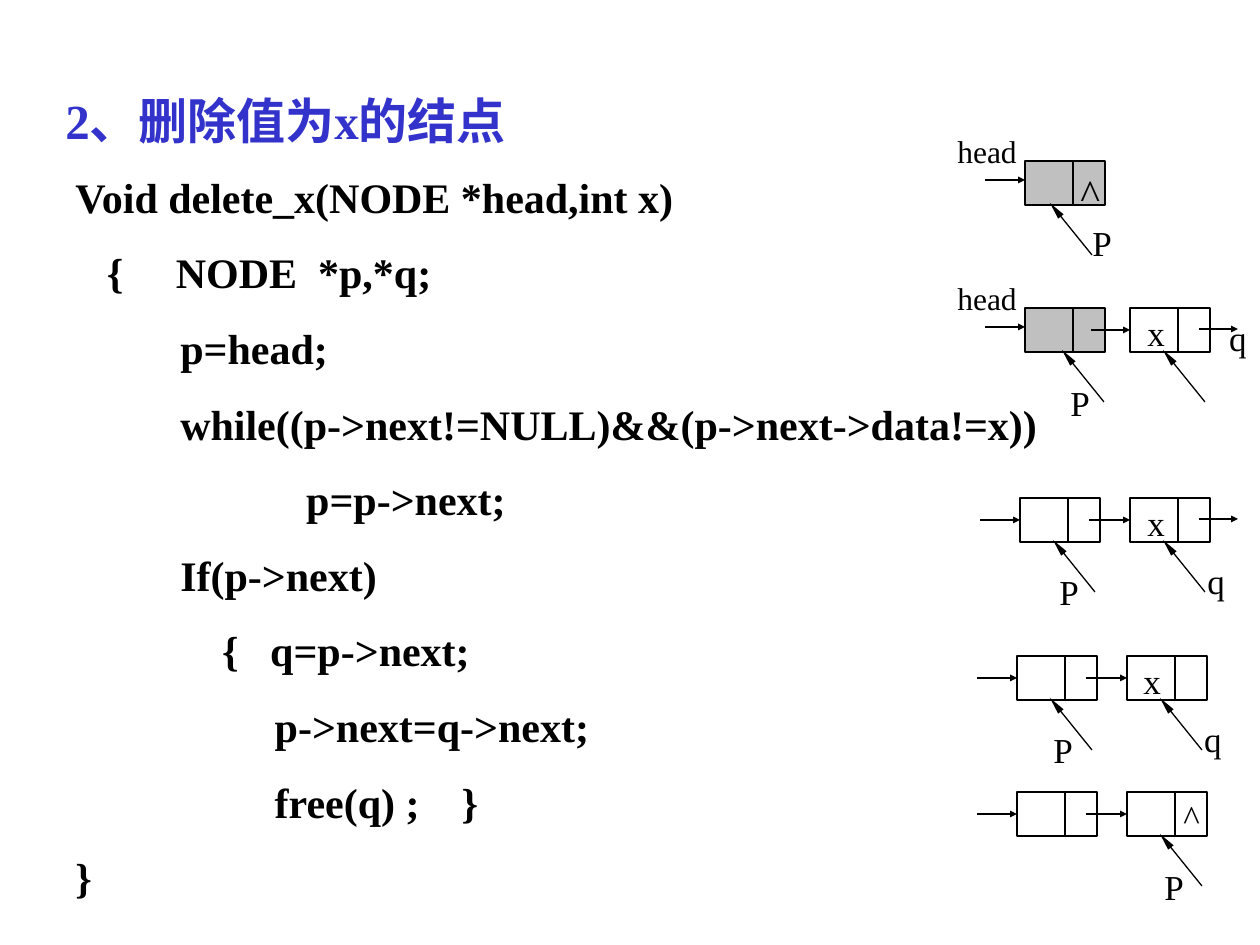
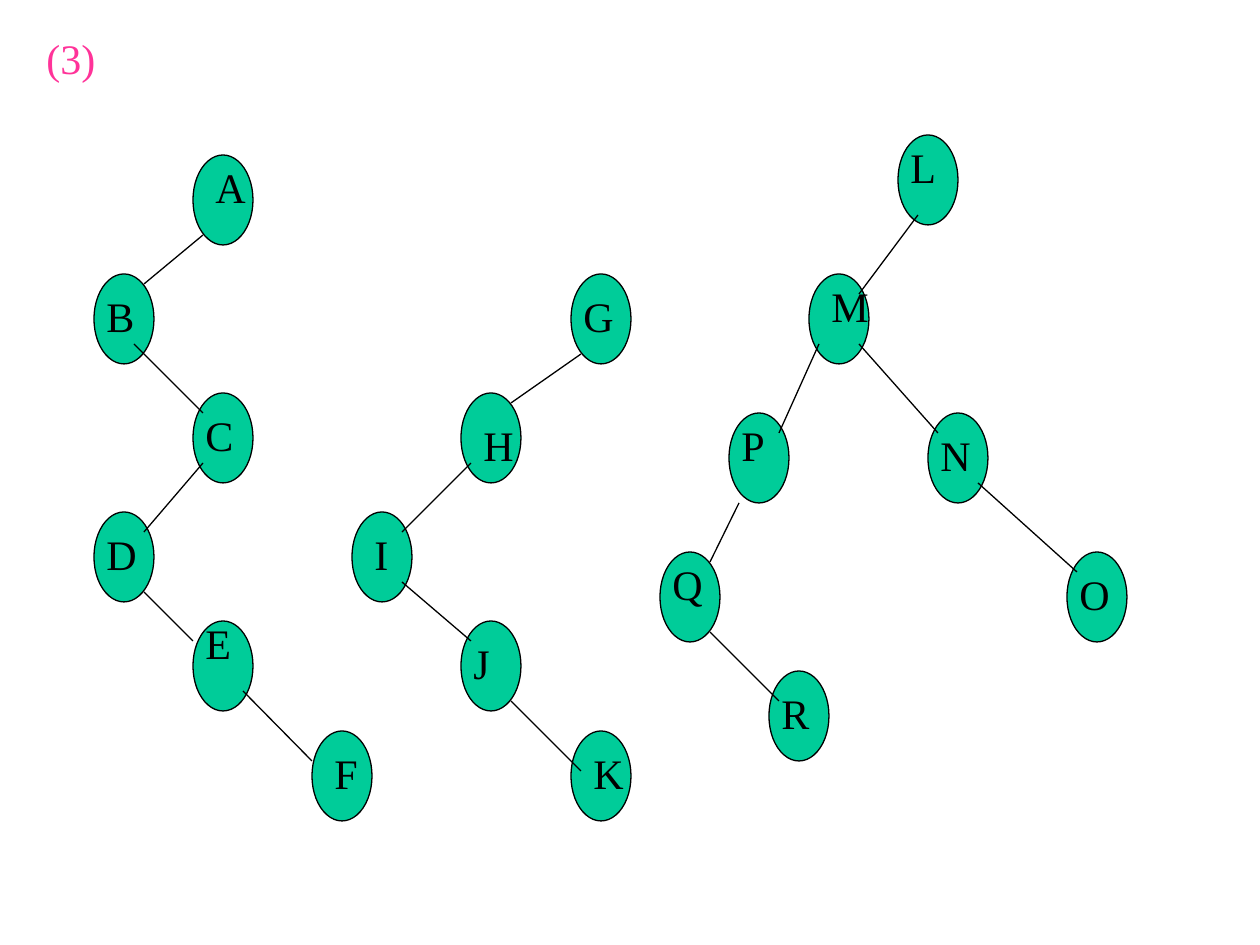
from dataclasses import dataclass

from lxml import etree
from pptx import Presentation
from pptx.dml.color import RGBColor
from pptx.enum.shapes import MSO_CONNECTOR, MSO_SHAPE
from pptx.enum.text import MSO_ANCHOR, PP_ALIGN
from pptx.oxml.ns import qn
from pptx.util import Pt

STRAIGHT = MSO_CONNECTOR.STRAIGHT
RECTANGLE, OVAL = MSO_SHAPE.RECTANGLE, MSO_SHAPE.OVAL
LEFT, CENTER = PP_ALIGN.LEFT, PP_ALIGN.CENTER
TOP = MSO_ANCHOR.TOP
LEFT_SIDE = 1
EMU_PER_PX = 914400 / 126


@dataclass(frozen=True)
class Theme:
    font: str = "Times New Roman"
    ink: str = "000000"
    title: str = "3333CC"
    number: str = "FF3399"
    head_node: str = "C0C0C0"
    tree_node: str = "00CC99"
    title_size: int = 28
    body_size: int = 24
    label_size: int = 20
    head_size: int = 18
    line: float = 0.75


THEME = Theme()

# Linked-list cells and tree nodes, in px
CELL_W, CELL_H, DIVIDER = 80, 44, 48
NODE_W, NODE_H = 60, 90

CODE = """Void delete_x(NODE *head,int x)
   {     NODE  *p,*q;
          p=head;
          while((p->next!=NULL)&&(p->next->data!=x))
                      p=p->next;
          If(p->next)
              {   q=p->next;
                   p->next=q->next;
                   free(q) ;    }
}"""


@dataclass(frozen=True)
class ListState:
    """One step of the deletion; all places are relative to the first cell."""
    origin: tuple
    labels: tuple            # (text, x, y)
    pointers: tuple          # x of each pointer's tip
    second: int = 0          # x of the second cell, 0 for none
    has_head: bool = False
    has_next: bool = False
    link_start: int = 69
    mark_size: int = THEME.label_size


LIST_STATES = (
    ListState((1025, 161), (("^", 43, 0), ("P", 55, 54)), (25,),
              has_head=True, mark_size=THEME.body_size),
    ListState((1025, 308), (("q", 191, 2), ("x", 110, -3), ("P", 33, 67)),
              (37, 138), 105, has_head=True, has_next=True, link_start=66),
    ListState((1020, 498), (("P", 27, 66), ("x", 115, -3), ("q", 174, 55)),
              (33, 143), 110, has_next=True),
    ListState((1017, 656), (("P", 24, 66), ("x", 114, -3), ("q", 174, 55)),
              (33, 143), 110),
    ListState((1017, 792), (("P", 135, 67), ("^", 154, -3)), (143,), 110),
)

# Each tree: origin, nodes {name: (place, label offset)},
# edges (parent and child, offset in parent, offset in child)
TREES = (
    ((94, 155),
     {"A": ((99, 0), (10, 0)), "B": ((0, 119), (0, 10)),
      "C": ((99, 238), (0, 10)), "D": ((0, 357), (0, 10)),
      "E": ((99, 466), (0, -10)), "F": ((218, 576), (10, 10))},
     (("AB", (10, 80), (50, 10)), ("BC", (40, 70), (10, 20)),
      ("CD", (10, 70), (50, 20)), ("DE", (50, 80), (0, 20)),
      ("EF", (50, 70), (0, 30)))),
    ((352, 274),
     {"G": ((219, 0), (0, 10)), "H": ((109, 119), (10, 20)),
      "I": ((0, 238), (10, 10)), "J": ((109, 347), (0, 10)),
      "K": ((219, 457), (10, 10))},
     (("GH", (10, 80), (50, 10)), ("HI", (10, 70), (50, 20)),
      ("IJ", (50, 70), (10, 20)), ("JK", (50, 80), (10, 40)))),
    ((660, 135),
     {"L": ((238, 0), (0, 0)), "M": ((149, 139), (10, 0)),
      "P": ((69, 278), (0, 0)), "N": ((268, 278), (0, 10)),
      "Q": ((0, 417), (0, 0)), "R": ((109, 536), (0, 10)),
      "O": ((407, 417), (0, 10))},
     (("LM", (20, 80), (50, 20)), ("MP", (10, 70), (50, 20)),
      ("PQ", (10, 90), (50, 10)), ("QR", (50, 80), (10, 30)),
      ("MN", (50, 70), (10, 20)), ("NO", (50, 70), (10, 20)))),
)


def px(length):
    return round(length * EMU_PER_PX)


def color(value):
    return RGBColor.from_string(value)


def shift(origin, *offsets):
    return (sum(x for x, _ in (origin, *offsets)),
            sum(y for _, y in (origin, *offsets)))


def add_text(page, box, text, size, ink=THEME.ink, bold=False, align=LEFT,
             spacing=1.0):
    frame = page.shapes.add_textbox(*map(px, box)).text_frame
    frame.word_wrap = True
    frame.vertical_anchor = TOP
    for index, line in enumerate(text.split("\n")):
        para = frame.paragraphs[0] if index == 0 else frame.add_paragraph()
        para.text = line
        para.alignment = align
        para.line_spacing = spacing
        para.font.name = THEME.font
        para.font.size = Pt(size)
        para.font.bold = bold
        para.font.color.rgb = color(ink)


def add_outline(page, kind, box, fill=None):
    shape = page.shapes.add_shape(kind, *map(px, box))
    shape.shadow.inherit = False
    if fill:
        shape.fill.solid()
        shape.fill.fore_color.rgb = color(fill)
    else:
        shape.fill.background()
    shape.line.color.rgb = color(THEME.ink)
    shape.line.width = Pt(THEME.line)
    return shape


def add_line(page, start, end, head_length=None, target=None):
    """Draw a line; head_length 'sm' or 'lg' puts an arrowhead at its end."""
    line = page.shapes.add_connector(STRAIGHT, *map(px, (*start, *end)))
    line.line.color.rgb = color(THEME.ink)
    line.line.width = Pt(THEME.line)
    if head_length:
        etree.SubElement(line.line._get_or_add_ln(), qn("a:tailEnd"),
                         type="triangle", w="sm", len=head_length)
    etree.SubElement(line._element.spPr, qn("a:effectLst"))
    if target is not None:
        line.end_connect(target, LEFT_SIDE)


def add_cell(page, origin, fill=None):
    cell = add_outline(page, RECTANGLE, (*origin, CELL_W, CELL_H), fill)
    add_line(page, shift(origin, (DIVIDER, 0)),
             shift(origin, (DIVIDER, CELL_H)))
    return cell


def add_list_state(page, state):
    def at(x, y):
        return shift(state.origin, (x, y))

    middle = CELL_H // 2

    # Cells and the arrows between them
    first = add_cell(page, state.origin,
                     THEME.head_node if state.has_head else None)
    if state.has_head:
        add_line(page, at(-40, 19), at(0, 19), "sm")
        add_text(page, (*at(-80, -35), 100, 65), "head", THEME.head_size)
    else:
        add_line(page, at(-40, middle), at(0, middle), "sm", first)
    if state.second:
        second = add_cell(page, at(state.second, 0))
        add_line(page, at(state.link_start, middle),
                 at(state.second, middle), "sm", second)
    if state.has_next:
        add_line(page, at(state.second + 69, 21),
                 at(state.second + 108, 21), "sm")

    # Pointers and labels
    for tip in state.pointers:
        add_line(page, at(tip + 42, 94), at(tip, 42), "lg")
    for text, x, y in state.labels:
        is_pointer = text in "Pq"
        add_text(page, (*at(x, y), 44, 54), text,
                 THEME.label_size if is_pointer else state.mark_size,
                 align=CENTER if is_pointer else LEFT)


def add_tree(page, origin, nodes, edges):
    for place, _ in nodes.values():
        add_outline(page, OVAL, (*shift(origin, place), NODE_W, NODE_H),
                    THEME.tree_node)
    for (parent, child), start, end in edges:
        add_line(page, shift(origin, nodes[parent][0], start),
                 shift(origin, nodes[child][0], end))
    for name, (place, offset) in nodes.items():
        add_text(page, (*shift(origin, place, offset), NODE_W, 50), name,
                 THEME.body_size)


def build_deletion_slide(page):
    add_text(page, (53, 84, 687, 72), "2、删除值为x的结点", THEME.title_size,
             THEME.title, bold=True)
    add_text(page, (63, 140, 1040, 767), CODE, THEME.body_size, bold=True,
             spacing=1.5)
    for state in LIST_STATES:
        add_list_state(page, state)


def build_forest_slide(page):
    add_text(page, (34, 26, 139, 50), "(3)", THEME.body_size, THEME.number)
    for origin, nodes, edges in TREES:
        add_tree(page, origin, nodes, edges)


def main():
    deck = Presentation()
    deck.slide_width, deck.slide_height = px(1260), px(945)
    blank = deck.slide_layouts[6]
    for build in (build_deletion_slide, build_forest_slide):
        build(deck.slides.add_slide(blank))
    deck.save("out.pptx")


if __name__ == "__main__":
    main()
